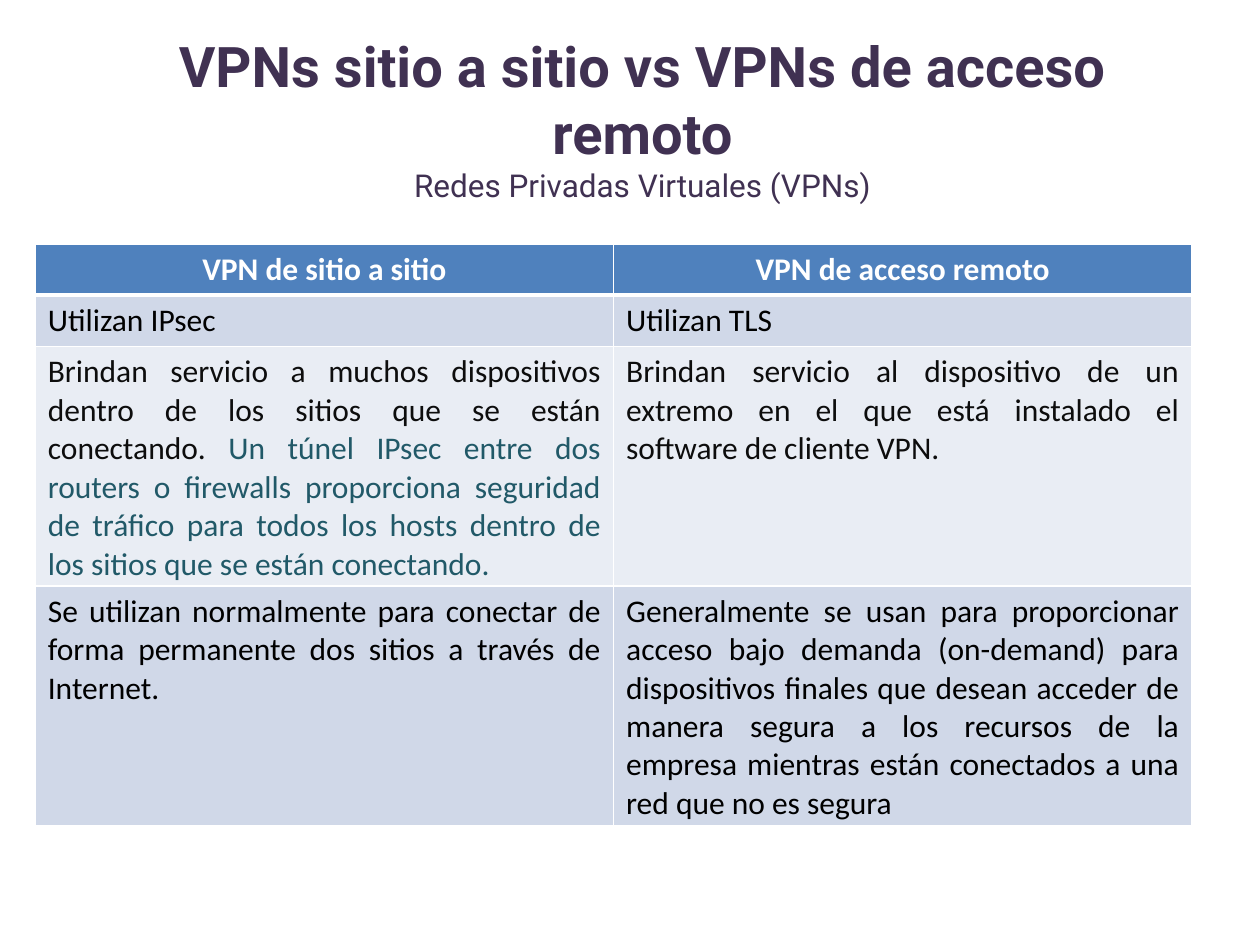
from dataclasses import dataclass

import pptx
import pptx.dml.color
import pptx.enum.text
import pptx.oxml
import pptx.oxml.ns
import pptx.util

ALIGN = pptx.enum.text.PP_ALIGN


@dataclass(frozen=True)
class Theme:
    title_font: str = "Roboto"
    table_font: str = "Calibri"
    title_size: int = 32
    body_size: int = 18
    title: str = "403152"
    white: str = "FFFFFF"
    black: str = "000000"
    soft_black: str = "0D0D0D"
    accent: str = "215968"
    header_fill: str = "4F81BD"
    dark_band: str = "D0D8E8"
    light_band: str = "E9EDF4"


@dataclass(frozen=True)
class TextRun:
    text: str
    color: str


@dataclass(frozen=True)
class TableRow:
    height: float
    fill: str
    cells: tuple[tuple[TextRun, ...], ...]


THEME = Theme()
SLIDE_WIDTH, SLIDE_HEIGHT = 10, 7.5
TABLE_LEFT, TABLE_TOP, TABLE_WIDTH = 0.28, 1.94, 9.18
CELL_BOTTOM_MARGIN = 0.02

ROWS = (
    TableRow(0.4, THEME.header_fill, (
        (TextRun("VPN de sitio a sitio", THEME.white),),
        (TextRun("VPN de acceso remoto", THEME.white),),
    )),
    TableRow(0.41, THEME.dark_band, (
        (TextRun("Utilizan IPsec", THEME.black),),
        (TextRun("Utilizan TLS", THEME.black),),
    )),
    TableRow(1.9, THEME.light_band, (
        (
            TextRun("Brindan servicio a muchos dispositivos dentro de los sitios "
                    "que se están conectando. ", THEME.soft_black),
            TextRun("Un túnel IPsec entre dos routers o firewalls proporciona "
                    "seguridad de tráfico para todos los hosts dentro de los "
                    "sitios que se están conectando.", THEME.accent),
        ),
        (TextRun("Brindan servicio al dispositivo de un extremo en el que está "
                 "instalado el software de cliente VPN.", THEME.soft_black),),
    )),
    TableRow(1.9, THEME.dark_band, (
        (TextRun("Se utilizan normalmente para conectar de forma permanente dos "
                 "sitios a través de Internet.", THEME.black),),
        (TextRun("Generalmente se usan para proporcionar acceso bajo demanda "
                 "(on-demand) para dispositivos finales que desean acceder de "
                 "manera segura a los recursos de la empresa mientras están "
                 "conectados a una red que no es segura", THEME.black),),
    )),
)


def rgb(color: str) -> pptx.dml.color.RGBColor:
    return pptx.dml.color.RGBColor.from_string(color)


def add_run(paragraph, content: TextRun, font: str, size: float, bold: bool) -> None:
    run = paragraph.add_run()
    run.text = content.text
    run.font.name = font
    run.font.size = pptx.util.Pt(size)
    run.font.bold = bold
    run.font.color.rgb = rgb(content.color)


def add_border(cell, side: str, width: float) -> None:
    """Append a white border; the cell's fill must be set afterwards."""
    cell.fill.background()
    properties = cell._tc.get_or_add_tcPr()
    fill = properties[-1]
    fill.addprevious(pptx.oxml.parse_xml(
        f'<a:ln{side} {pptx.oxml.ns.nsdecls("a")} w="{pptx.util.Pt(width)}">'
        f'<a:solidFill><a:srgbClr val="{THEME.white}"/></a:solidFill></a:ln{side}>'
    ))


def add_heading(slide) -> None:
    box = slide.shapes.add_textbox(*map(pptx.util.Inches, (0.98, 0.2, 8.24, 0.94)))
    frame = box.text_frame
    frame.word_wrap = True
    lines = (
        ("VPNs sitio a sitio vs VPNs de acceso remoto", THEME.title_size, True),
        ("Redes Privadas Virtuales (VPNs)", THEME.body_size, False),
    )
    for index, (text, size, bold) in enumerate(lines):
        paragraph = frame.add_paragraph() if index else frame.paragraphs[0]
        paragraph.alignment = ALIGN.CENTER
        add_run(paragraph, TextRun(text, THEME.title), THEME.title_font, size, bold)


def fill_cell(cell, row: TableRow, runs: tuple[TextRun, ...], row_index: int) -> None:
    is_header = row_index == 0
    borders = {
        "L": 1,
        "R": 1,
        "T": 3 if row_index == 1 else 1,
        "B": 3 if is_header else 1,
    }
    for side, width in borders.items():
        add_border(cell, side, width)
    cell.fill.solid()
    cell.fill.fore_color.rgb = rgb(row.fill)
    cell.margin_bottom = pptx.util.Inches(CELL_BOTTOM_MARGIN)
    paragraph = cell.text_frame.paragraphs[0]
    paragraph.alignment = ALIGN.CENTER if is_header else ALIGN.JUSTIFY
    for content in runs:
        add_run(paragraph, content, THEME.table_font, THEME.body_size, is_header)


def add_comparison(slide) -> None:
    column_count = len(ROWS[0].cells)
    height = sum(row.height for row in ROWS)
    table = slide.shapes.add_table(
        len(ROWS), column_count,
        *map(pptx.util.Inches, (TABLE_LEFT, TABLE_TOP, TABLE_WIDTH, height)),
    ).table
    for column in table.columns:
        column.width = pptx.util.Inches(TABLE_WIDTH / column_count)
    for row_index, row in enumerate(ROWS):
        table.rows[row_index].height = pptx.util.Inches(row.height)
        for column_index, runs in enumerate(row.cells):
            fill_cell(table.cell(row_index, column_index), row, runs, row_index)


def main() -> None:
    presentation = pptx.Presentation()
    presentation.slide_width = pptx.util.Inches(SLIDE_WIDTH)
    presentation.slide_height = pptx.util.Inches(SLIDE_HEIGHT)
    slide = presentation.slides.add_slide(presentation.slide_layouts[6])
    add_heading(slide)
    add_comparison(slide)
    presentation.save("out.pptx")


if __name__ == "__main__":
    main()
